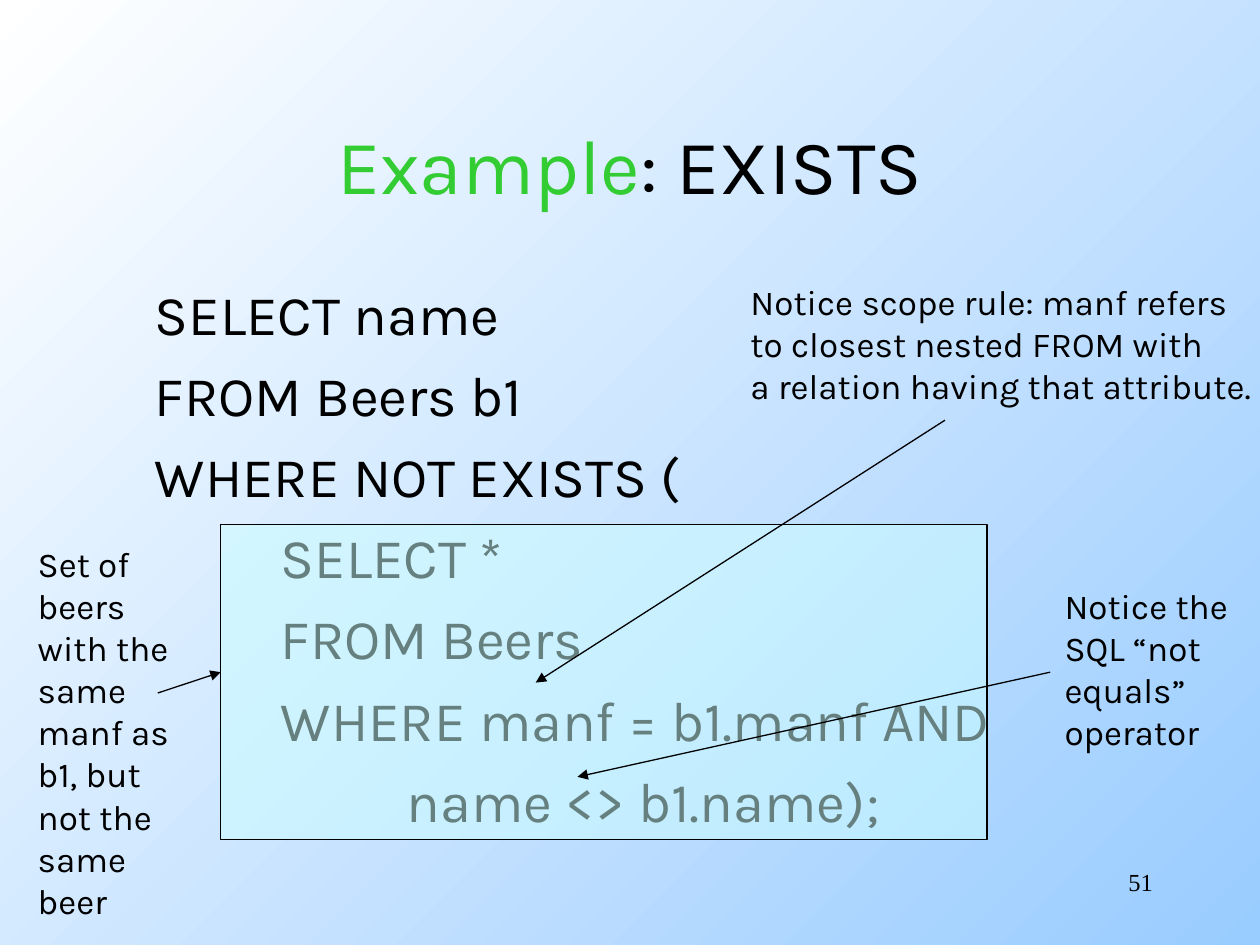
from pptx import Presentation
from pptx.dml.color import RGBColor
from pptx.enum.shapes import MSO_CONNECTOR, MSO_SHAPE
from pptx.enum.text import MSO_ANCHOR, MSO_AUTO_SIZE, PP_ALIGN
from pptx.oxml.ns import qn
from pptx.util import Cm, Pt
from lxml.etree import SubElement

BLACK = RGBColor(0, 0, 0)
WHITE = RGBColor(255, 255, 255)
GREEN = RGBColor(0x33, 0xCC, 0x33)
SKY = RGBColor(0x99, 0xCC, 0xFF)
AQUA = RGBColor(0xCC, 0xFF, 0xFF)

TITLE = [("Example", GREEN), (": EXISTS", BLACK)]
QUERY = [
    (0, "SELECT name"),
    (0, "FROM Beers b1"),
    (0, "WHERE NOT EXISTS ("),
    (1, "SELECT *"),
    (1, "FROM Beers"),
    (1, "WHERE manf = b1.manf AND"),
    (2, "name <> b1.name);"),
]
NOTES = [
    (["Set of", "beers", "with the", "same", "manf as", "b1, but", "not the",
      "same", "beer"],
     (0.51, 10.82, 3.2, 7.87), (3.18, 13.97, 4.45, 13.55)),
    (["Notice scope rule: manf refers", "to closest nested FROM with",
      "a relation having that attribute."],
     (14.88, 5.52, 10.9, 2.79), (19.05, 8.47, 10.8, 13.76)),
    (["Notice the", "SQL “not", "equals”", "operator"],
     (21.21, 11.66, 3.91, 3.66), (21.17, 13.55, 11.64, 15.66)),
]


def cms(box):
    return [Cm(n) for n in box]


def place(shape, box):
    shape.left, shape.top, shape.width, shape.height = cms(box)


def style(para, size, face="Karla"):
    para.font.size = Pt(size)
    para.font.name = face
    para.font.color.rgb = BLACK


def indent(para, depth):
    props = para._p.get_or_add_pPr()
    props.set("marL", str(Cm(0.97 + 2.54 * depth)))
    props.set("indent", "0")
    SubElement(props, qn("a:buNone"))


def add_note(slide, lines, box):
    frame = slide.shapes.add_textbox(*cms(box)).text_frame
    frame.word_wrap = False
    frame.auto_size = MSO_AUTO_SIZE.SHAPE_TO_FIT_TEXT
    frame.text = "\n".join(lines)
    for para in frame.paragraphs:
        style(para, 20)


def add_arrow(slide, ends):
    arrow = slide.shapes.add_connector(MSO_CONNECTOR.STRAIGHT, *cms(ends))
    arrow.line.color.rgb = BLACK
    arrow.line.width = Pt(0.75)
    props = arrow._element.spPr
    SubElement(props.find(qn("a:ln")), qn("a:tailEnd"), type="triangle")
    SubElement(props, qn("a:effectLst"))


def main():
    deck = Presentation()
    deck.slide_width, deck.slide_height = Cm(25.4), Cm(19.05)
    slide = deck.slides.add_slide(deck.slide_layouts[1])
    fill = slide.background.fill
    fill.gradient()
    fill.gradient_angle = 315
    for stop, color in zip(fill.gradient_stops, (WHITE, SKY)):
        stop.color.rgb = color

    title, body = slide.placeholders
    place(title, (1.9, 1.7, 21.6, 3.18))
    frame = title.text_frame
    frame.auto_size = MSO_AUTO_SIZE.NONE
    frame.vertical_anchor = MSO_ANCHOR.MIDDLE
    head = frame.paragraphs[0]
    head.alignment = PP_ALIGN.CENTER
    style(head, 44)
    for text, color in TITLE:
        run = head.add_run()
        run.text = text
        run.font.color.rgb = color

    place(body, (1.9, 5.5, 21.6, 11.43))
    frame = body.text_frame
    frame.auto_size = MSO_AUTO_SIZE.NONE
    frame.text = "\n".join(text for _, text in QUERY)
    for n, (para, (depth, _)) in enumerate(zip(frame.paragraphs, QUERY)):
        indent(para, depth)
        para.space_before = Pt(8 if n else 0)
        style(para, 32)

    inner = slide.shapes.add_shape(
        MSO_SHAPE.RECTANGLE, *cms((4.45, 10.58, 15.45, 6.35)))
    inner.shadow.inherit = False
    inner.fill.solid()
    inner.fill.fore_color.rgb = AQUA
    tint = inner._element.spPr.find(qn("a:solidFill"))[0]
    SubElement(tint, qn("a:alpha"), val="50000")
    inner.line.color.rgb = BLACK
    inner.line.width = Pt(0.75)

    for lines, box, ends in NOTES:
        add_note(slide, lines, box)
        add_arrow(slide, ends)

    page = slide.shapes.add_textbox(*cms((18.2, 17.35, 5.29, 1.27)))
    page.text_frame.word_wrap = True
    para = page.text_frame.paragraphs[0]
    para.text = "51"
    para.alignment = PP_ALIGN.RIGHT
    style(para, 14, "Times New Roman")

    deck.save("out.pptx")


if __name__ == "__main__":
    main()
